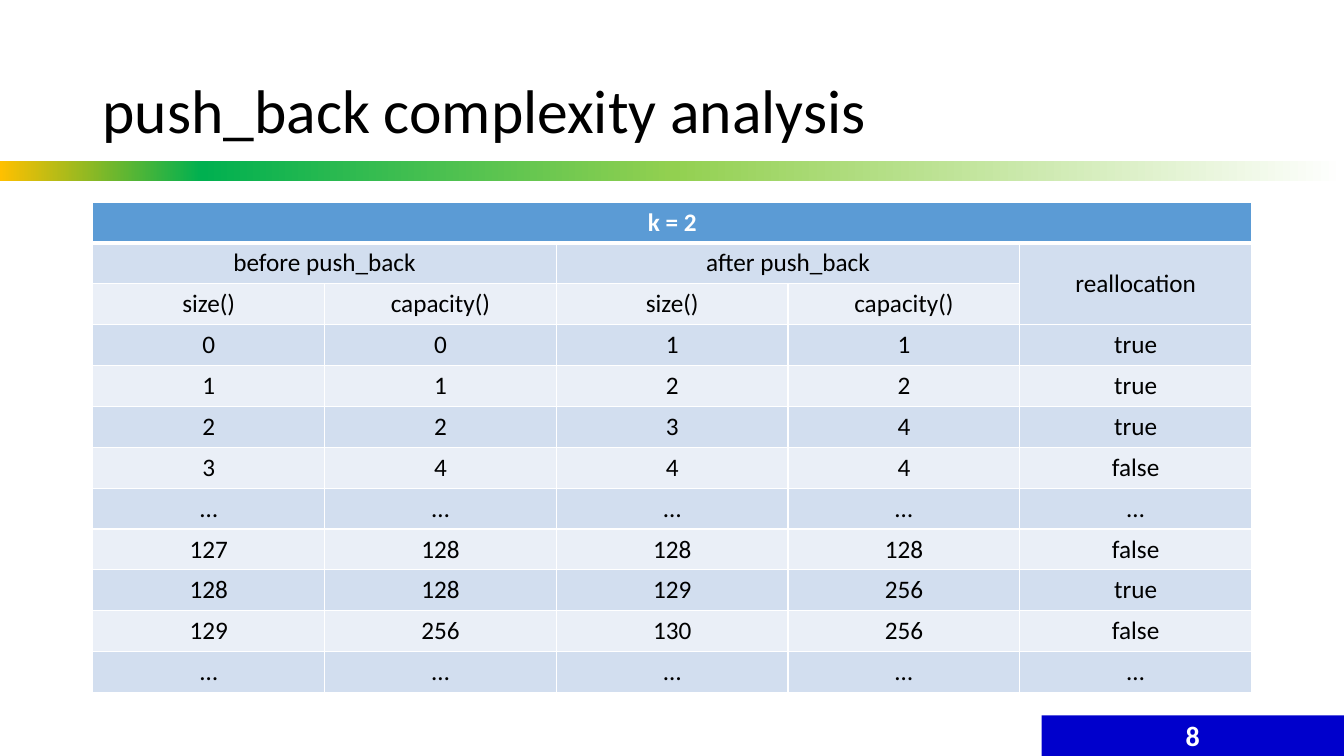
from lxml.etree import SubElement
from pptx import Presentation
from pptx.dml.color import RGBColor
from pptx.enum.shapes import MSO_SHAPE
from pptx.enum.text import MSO_ANCHOR, PP_ALIGN
from pptx.oxml.ns import qn
from pptx.util import Cm, Pt

COLORS = {
    "black": "000000", "white": "FFFFFF", "header": "5B9BD5",
    "dark band": "D2DEEF", "light band": "EAEFF7", "page number": "0000CC",
}
GRADIENT = [(0, "FFC000"), (15, "00B050"), (50, "92D050"), (100, "FFFFFF")]


def format_text(text_frame, size, color, bold=False, alignment=PP_ALIGN.CENTER):
    text_frame.vertical_anchor = MSO_ANCHOR.MIDDLE
    for paragraph in text_frame.paragraphs:
        paragraph.alignment = alignment
        for run in paragraph.runs:
            run.font.name = "Calibri"
            run.font.size = Pt(size)
            run.font.bold = bold
            run.font.color.rgb = RGBColor.from_string(COLORS[color])


def add_border(cell, side, width):
    line = SubElement(cell._tc.get_or_add_tcPr(), qn(f"a:ln{side}"), w=str(Pt(width)))
    fill = SubElement(line, qn("a:solidFill"))
    SubElement(fill, qn("a:srgbClr"), val=COLORS["white"])


presentation = Presentation()
presentation.slide_width = Cm(33.87)
presentation.slide_height = Cm(19.05)
slide = presentation.slides.add_slide(presentation.slide_layouts[5])

# Title
title = slide.shapes.title
title.left, title.top, title.width, title.height = Cm(2.33), Cm(1.01), Cm(29.21), Cm(3.68)
title.text_frame.text = "push_back complexity analysis"
title.text_frame.paragraphs[0].line_spacing = 0.9
format_text(title.text_frame, 44, "black", alignment=PP_ALIGN.LEFT)

# Gradient bar under the title
bar = slide.shapes.add_shape(MSO_SHAPE.RECTANGLE, 0, Cm(4.07), presentation.slide_width, Cm(0.5))
bar.shadow.inherit = False
bar.line.fill.background()
bar.fill.gradient()
bar.fill.gradient_angle = 0
stop_list = bar._element.spPr.find(qn("a:gradFill")).find(qn("a:gsLst"))
for stop in list(stop_list):
    stop_list.remove(stop)
for position, color in GRADIENT:
    stop = SubElement(stop_list, qn("a:gs"), pos=str(position * 1000))
    SubElement(stop, qn("a:srgbClr"), val=color)

# Table
rows = [
    ["k = 2", "", "", "", ""],
    ["before push_back", "", "after push_back", "", "reallocation"],
    ["size()", "capacity()", "size()", "capacity()", ""],
    ["0", "0", "1", "1", "true"],
    ["1", "1", "2", "2", "true"],
    ["2", "2", "3", "4", "true"],
    ["3", "4", "4", "4", "false"],
    ["…"] * 5,
    ["127", "128", "128", "128", "false"],
    ["128", "128", "129", "256", "true"],
    ["129", "256", "130", "256", "false"],
    ["…"] * 5,
]
table = slide.shapes.add_table(
    len(rows), 5, Cm(2.34), Cm(5.09), Cm(29.2), Cm(12.36)).table
for column in table.columns:
    column.width = Cm(5.84)
for row_index, values in enumerate(rows):
    table.rows[row_index].height = Cm(1.03)
    header = row_index == 0
    band = "header" if header else "dark band" if row_index % 2 else "light band"
    for column_index, value in enumerate(values):
        cell = table.cell(row_index, column_index)
        for side in "LRTB":
            thick = (header and side == "B") or (row_index == 1 and side == "T")
            add_border(cell, side, 3 if thick else 1)
        cell.fill.solid()
        cell.fill.fore_color.rgb = RGBColor.from_string(COLORS[band])
        cell.vertical_anchor = MSO_ANCHOR.MIDDLE
        if value:
            cell.text_frame.text = value
            format_text(cell.text_frame, 18, "white" if header else "black", header)

# Merged headings: first and last cell of each
for first, last in [((0, 0), (0, 4)), ((1, 0), (1, 1)), ((1, 2), (1, 3)), ((1, 4), (2, 4))]:
    table.cell(*first).merge(table.cell(*last))

# Page number
page_number = slide.shapes.add_shape(
    MSO_SHAPE.RECTANGLE, Cm(26.25), Cm(18.03), Cm(7.62), Cm(1.02))
page_number.shadow.inherit = False
page_number.line.fill.background()
page_number.fill.solid()
page_number.fill.fore_color.rgb = RGBColor.from_string(COLORS["page number"])
page_number.text_frame.text = "8"
format_text(page_number.text_frame, 20, "white", True)

presentation.save("out.pptx")
